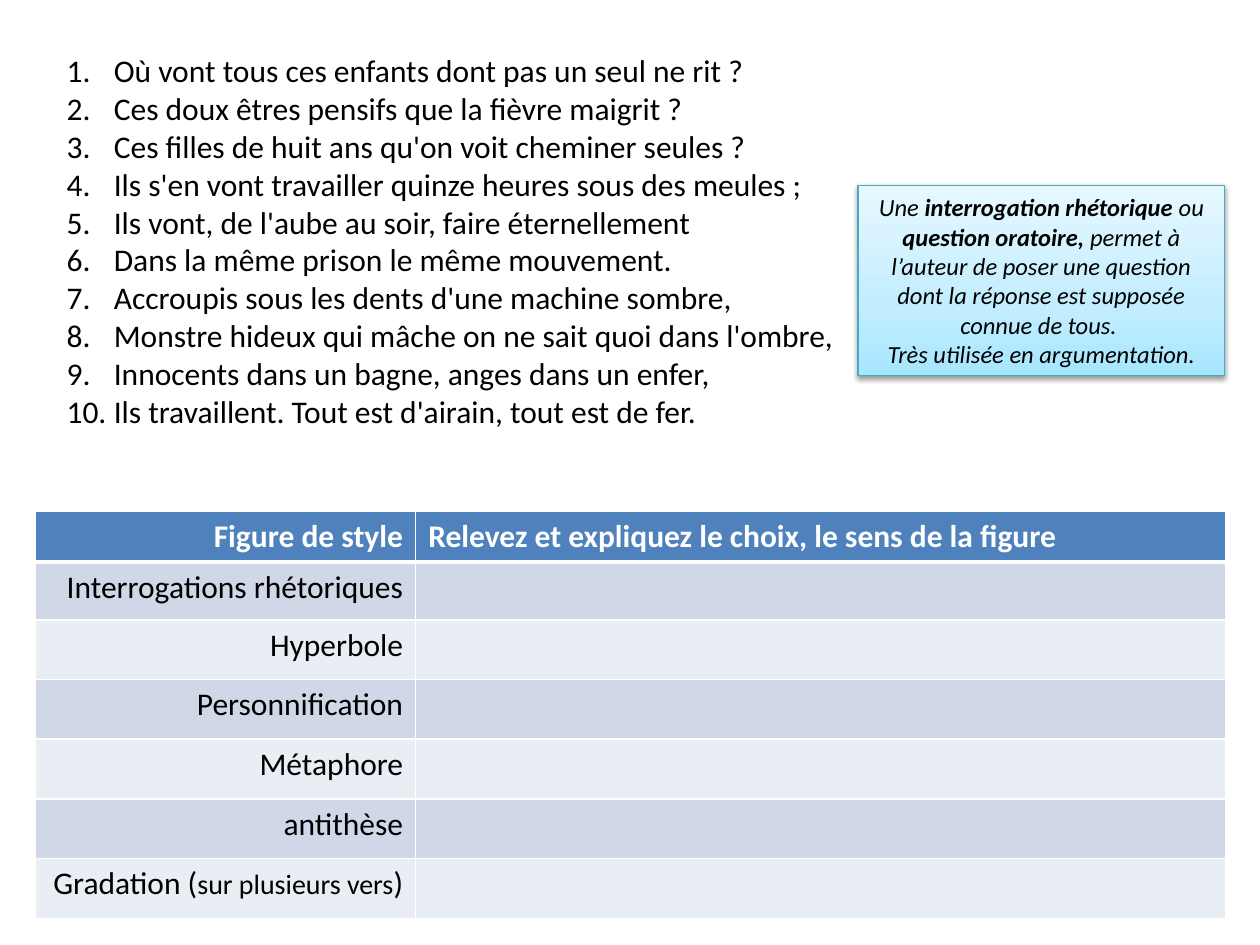
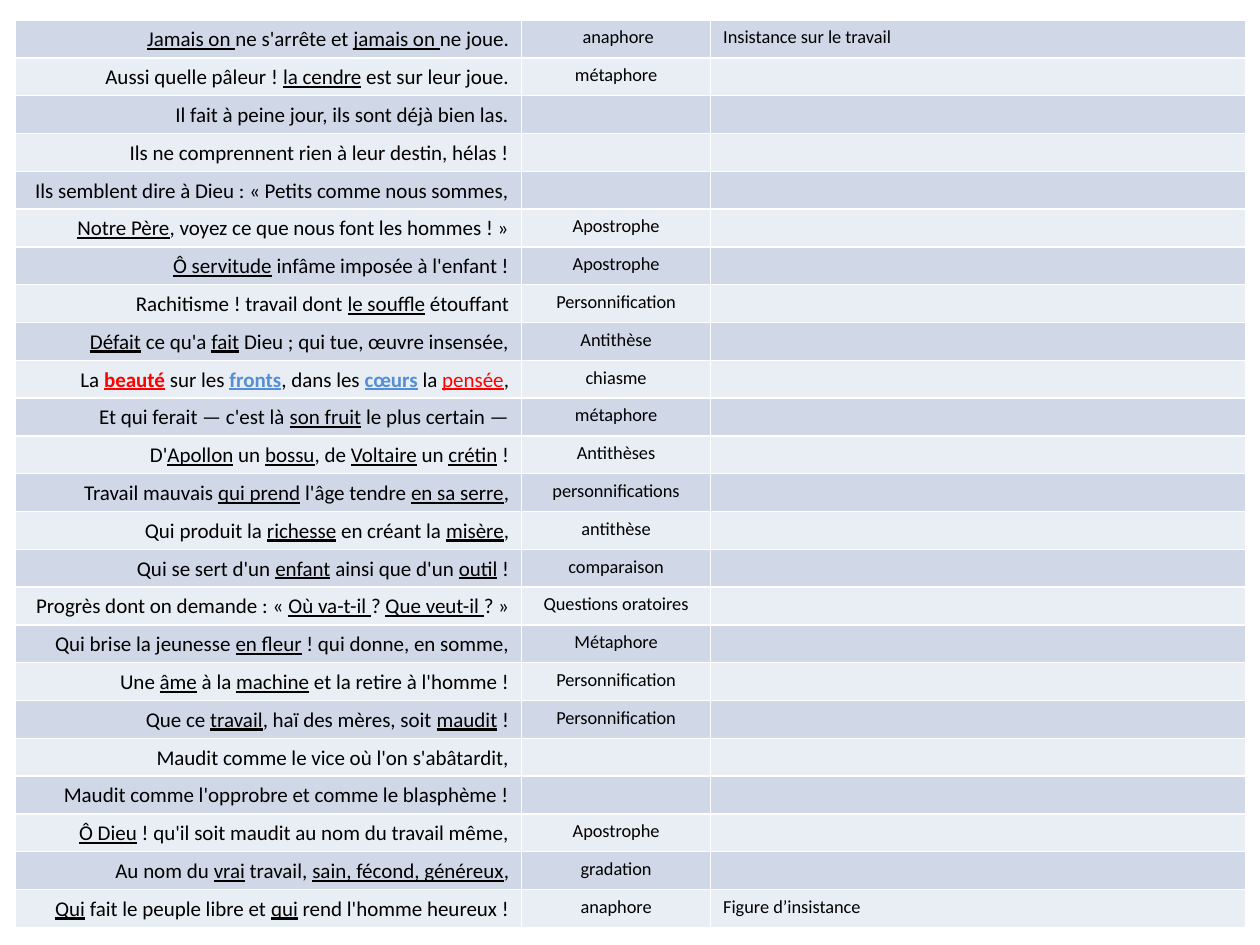
from dataclasses import dataclass

from lxml.etree import SubElement
from pptx import Presentation
from pptx.dml.color import RGBColor
from pptx.enum.shapes import MSO_SHAPE as Preset
from pptx.enum.text import MSO_ANCHOR as Anchor, PP_ALIGN as Align
from pptx.oxml.ns import qn
from pptx.util import Emu, Inches, Pt

COLORS = {
    "text": "000000", "white": "FFFFFF", "header": "4F81BD",
    "band_dark": "D0D8E8", "band_light": "E9EDF4",
    "red": "FF0000", "blue": "558ED5", "box_line": "46AAC5",
    "box_deep": "A7E6FF", "box_mid": "C1EDFF", "box_pale": "E7F8FF",
}
FONT = "Calibri"
SLIDE_WIDTH, SLIDE_HEIGHT = Inches(10), Inches(7.5)
COLUMN, ROW = SLIDE_WIDTH / 100, SLIDE_HEIGHT / 75


@dataclass(frozen=True)
class Area:
    """A rectangle counted in grid columns and rows."""
    left: float
    top: float
    width: float
    height: float

    def box(self) -> tuple:
        """Give left, top, width and height as lengths."""
        return (Emu(round(self.left * COLUMN)), Emu(round(self.top * ROW)),
                Emu(round(self.width * COLUMN)), Emu(round(self.height * ROW)))


@dataclass(frozen=True)
class Piece:
    """A stretch of text in one format; size 0 takes the size of its block."""
    text: str
    color: str = "text"
    bold: bool = False
    italic: bool = False
    underline: bool = False
    size: float = 0


@dataclass(frozen=True)
class Cell:
    """The pieces, alignment and size of one table cell."""
    pieces: tuple = ()
    align: Align = Align.LEFT
    size: float = 18
    anchor: Anchor = Anchor.TOP


@dataclass(frozen=True)
class Grid:
    """A table with its place, column widths, row heights and cells."""
    area: Area
    widths: tuple
    heights: tuple
    rows: tuple
    has_header: bool


def underlined(text: str) -> tuple:
    """Split text at underscores; every second part is underlined."""
    return tuple(Piece(part, underline=index % 2 == 1)
                 for index, part in enumerate(text.split("_")) if part)


def verse_row(verse: tuple, figure: str, meaning: str) -> tuple:
    """Make the three cells for one line of the poem."""
    return (Cell(verse, Align.RIGHT, 12, Anchor.MIDDLE),
            Cell((Piece(figure),) if figure else (), Align.CENTER, 10.5),
            Cell((Piece(meaning),) if meaning else (), Align.LEFT, 10.5))


def figure_row(*pieces: Piece) -> tuple:
    """Make a row with a figure of speech and room for the answer."""
    return Cell(pieces, Align.RIGHT), Cell()


POEM_START = (
    "Où vont tous ces enfants dont pas un seul ne rit ?",
    "Ces doux êtres pensifs que la fièvre maigrit ?",
    "Ces filles de huit ans qu'on voit cheminer seules ?",
    "Ils s'en vont travailler quinze heures sous des meules ;",
    "Ils vont, de l'aube au soir, faire éternellement",
    "Dans la même prison le même mouvement.",
    "Accroupis sous les dents d'une machine sombre,",
    "Monstre hideux qui mâche on ne sait quoi dans l'ombre,",
    "Innocents dans un bagne, anges dans un enfer,",
    "Ils travaillent. Tout est d'airain, tout est de fer.",
)

DEFINITION = (
    Piece("Une ", italic=True),
    Piece("interrogation rhétorique ", bold=True, italic=True),
    Piece("ou ", italic=True),
    Piece("question oratoire, ", bold=True, italic=True),
    Piece("permet à l’auteur de poser une question dont la réponse est "
          "supposée connue de tous. \nTrès utilisée en argumentation.", italic=True),
)

FIGURES = Grid(
    Area(2.8, 40.6, 94.5, 32.3), (30.2, 64.3), (4, 4.6) + (4.74,) * 5,
    (
        (Cell((Piece("Figure de style", "white", bold=True),), Align.RIGHT),
         Cell((Piece("Relevez et expliquez le choix, le sens de la figure",
                     "white", bold=True),))),
        *(figure_row(Piece(name)) for name in (
            "Interrogations rhétoriques", "Hyperbole", "Personnification",
            "Métaphore", "antithèse")),
        figure_row(Piece("Gradation ("), Piece("sur plusieurs vers", size=16), Piece(")")),
    ),
    True,
)

CHIASMUS = (
    Piece("La "), Piece("beauté", "red", bold=True, underline=True),
    Piece(" sur les "), Piece("fronts", "blue", bold=True, underline=True),
    Piece(", dans les "), Piece("cœurs", "blue", bold=True, underline=True),
    Piece(" la "), Piece("pensée", "red", underline=True), Piece(","),
)

VERSES = (
    (underlined("_Jamais on _ne s'arrête et _jamais on _ne joue."),
     " anaphore", "Insistance sur le travail"),
    (underlined("Aussi quelle pâleur ! _la cendre_ est sur leur joue."), "métaphore", ""),
    (underlined("Il fait à peine jour, ils sont déjà bien las."), "", ""),
    (underlined("Ils ne comprennent rien à leur destin, hélas !"), "", ""),
    (underlined("Ils semblent dire à Dieu : « Petits comme nous sommes,"), "", ""),
    (underlined("_Notre Père_, voyez ce que nous font les hommes ! »"), "Apostrophe", ""),
    (underlined("_Ô servitude_ infâme imposée à l'enfant !"), "Apostrophe", ""),
    (underlined("Rachitisme ! travail dont _le souffle_ étouffant"), "Personnification", ""),
    (underlined("_Défait_ ce qu'a _fait_ Dieu ; qui tue, œuvre insensée,"), "Antithèse", ""),
    (CHIASMUS, "chiasme", ""),
    (underlined("Et qui ferait — c'est là _son fruit_ le plus certain —"), "métaphore", ""),
    (underlined("D'_Apollon_ un _bossu_, de _Voltaire_ un _crétin_ !"), "Antithèses", ""),
    (underlined("Travail mauvais _qui prend_ l'âge tendre _en sa serre_,"),
     "personnifications", ""),
    (underlined("Qui produit la _richesse_ en créant la _misère_,"), "antithèse", ""),
    (underlined("Qui se sert d'un _enfant_ ainsi que d'un _outil_ !"), "comparaison", ""),
    (underlined("Progrès dont on demande : « _Où va-t-il _? _Que veut-il _? »"),
     "Questions oratoires", ""),
    (underlined("Qui brise la jeunesse _en fleur_ ! qui donne, en somme,"), "Métaphore", ""),
    (underlined("Une _âme_ à la _machine_ et la retire à l'homme !"), "Personnification", ""),
    (underlined("Que ce _travail_, haï des mères, soit _maudit_ !"), "Personnification", ""),
    (underlined("Maudit comme le vice où l'on s'abâtardit,"), "", ""),
    (underlined("Maudit comme l'opprobre et comme le blasphème !"), "", ""),
    (underlined("_Ô Dieu_ ! qu'il soit maudit au nom du travail même,"), "Apostrophe", ""),
    (underlined("Au nom du _vrai_ travail, _sain, fécond, généreux_,"), "gradation", ""),
    (underlined("_Qui_ fait le peuple libre et _qui_ rend l'homme heureux !"),
     "anaphore", "Figure d’insistance"),
)

POEM_END = Grid(
    Area(1.2, 1.6, 97.7, 72), (40.2, 15, 42.5), (3,) * len(VERSES),
    tuple(verse_row(*verse) for verse in VERSES), False,
)


def rgb(name: str) -> RGBColor:
    """Look up a colour by name."""
    return RGBColor.from_string(COLORS[name])


def add_color(parent, name: str):
    """Append a colour element to an XML parent."""
    return SubElement(parent, qn("a:srgbClr"), val=COLORS[name])


def write(paragraph, pieces: tuple, size: float) -> None:
    """Add the pieces to a paragraph run by run."""
    for piece in pieces:
        for index, line in enumerate(piece.text.split("\n")):
            if index:
                paragraph.add_line_break()
            run = paragraph.add_run()
            run.text = line
            font = run.font
            font.name, font.size = FONT, Pt(piece.size or size)
            font.bold, font.italic, font.underline = piece.bold, piece.italic, piece.underline
            font.color.rgb = rgb(piece.color)
    if not pieces:
        SubElement(paragraph._p, qn("a:endParaRPr"), sz=str(round(size * 100)))


def add_borders(cell, top: float, bottom: float) -> None:
    """Draw white borders round a cell."""
    properties = cell._tc.get_or_add_tcPr()
    for side, width in (("L", 1), ("R", 1), ("T", top), ("B", bottom)):
        line = SubElement(properties, qn(f"a:ln{side}"), w=str(Pt(width)))
        add_color(SubElement(line, qn("a:solidFill")), "white")


def add_grid(slide, grid: Grid) -> None:
    """Add a banded table."""
    table = slide.shapes.add_table(len(grid.rows), len(grid.widths), *grid.area.box()).table
    table.first_row, table.horz_banding = grid.has_header, False
    for column, width in zip(table.columns, grid.widths):
        column.width = Emu(round(width * COLUMN))
    for row, height in zip(table.rows, grid.heights):
        row.height = Emu(round(height * ROW))
    for row_index, row in enumerate(grid.rows):
        band = row_index - grid.has_header
        fill = "header" if band < 0 else ("band_dark", "band_light")[band % 2]
        for column_index, content in enumerate(row):
            cell = table.cell(row_index, column_index)
            add_borders(cell, 3 if grid.has_header and band == 0 else 1, 3 if band < 0 else 1)
            cell.fill.solid()
            cell.fill.fore_color.rgb = rgb(fill)
            cell.vertical_anchor = content.anchor
            cell.margin_bottom = Inches(0.04)
            paragraph = cell.text_frame.paragraphs[0]
            paragraph.alignment = content.align
            write(paragraph, content.pieces, content.size)


def add_numbered_lines(slide, area: Area, lines: tuple) -> None:
    """Add a text box with numbered lines."""
    frame = slide.shapes.add_textbox(*area.box()).text_frame
    frame.word_wrap = True
    indent = Inches(0.375)
    for index, line in enumerate(lines):
        paragraph = frame.add_paragraph() if index else frame.paragraphs[0]
        properties = paragraph._p.get_or_add_pPr()
        properties.set("marL", str(indent))
        properties.set("indent", str(-indent))
        SubElement(properties, qn("a:buFont"), typeface="+mj-lt")
        SubElement(properties, qn("a:buAutoNum"), type="arabicPeriod")
        write(paragraph, (Piece(line),), 18)


def add_definition(slide, area: Area, pieces: tuple) -> None:
    """Add the shaded definition box."""
    shape = slide.shapes.add_shape(Preset.RECTANGLE, *area.box())
    shape.fill.gradient()
    shape.fill.gradient_angle = 90
    stops = shape._element.spPr.find(qn("a:gradFill")).find(qn("a:gsLst"))
    stops.clear()
    for position, name in ((0, "box_deep"), (35, "box_mid"), (100, "box_pale")):
        add_color(SubElement(stops, qn("a:gs"), pos=str(position * 1000)), name)
    shape.line.color.rgb = rgb("box_line")
    shape.line.width = Pt(0.75)
    shape.shadow.inherit = False
    shadow = SubElement(shape._element.spPr.find(qn("a:effectLst")), qn("a:outerShdw"),
                        blurRad=str(Pt(3.1)), dist=str(Pt(1.6)), dir="5400000", rotWithShape="0")
    SubElement(add_color(shadow, "text"), qn("a:alpha"), val="38000")
    frame = shape.text_frame
    frame.word_wrap, frame.vertical_anchor = True, Anchor.MIDDLE
    frame.paragraphs[0].alignment = Align.CENTER
    write(frame.paragraphs[0], pieces, 14)


def main() -> None:
    """Build both slides and save them."""
    presentation = Presentation()
    presentation.slide_width, presentation.slide_height = SLIDE_WIDTH, SLIDE_HEIGHT
    blank = presentation.slide_layouts[6]
    questions = presentation.slides.add_slide(blank)
    add_numbered_lines(questions, Area(4.3, 3.6, 65.9, 31.3), POEM_START)
    add_grid(questions, FIGURES)
    add_definition(questions, Area(68.1, 14.7, 29.1, 15.1), DEFINITION)
    add_grid(presentation.slides.add_slide(blank), POEM_END)
    presentation.save("out.pptx")


if __name__ == "__main__":
    main()
